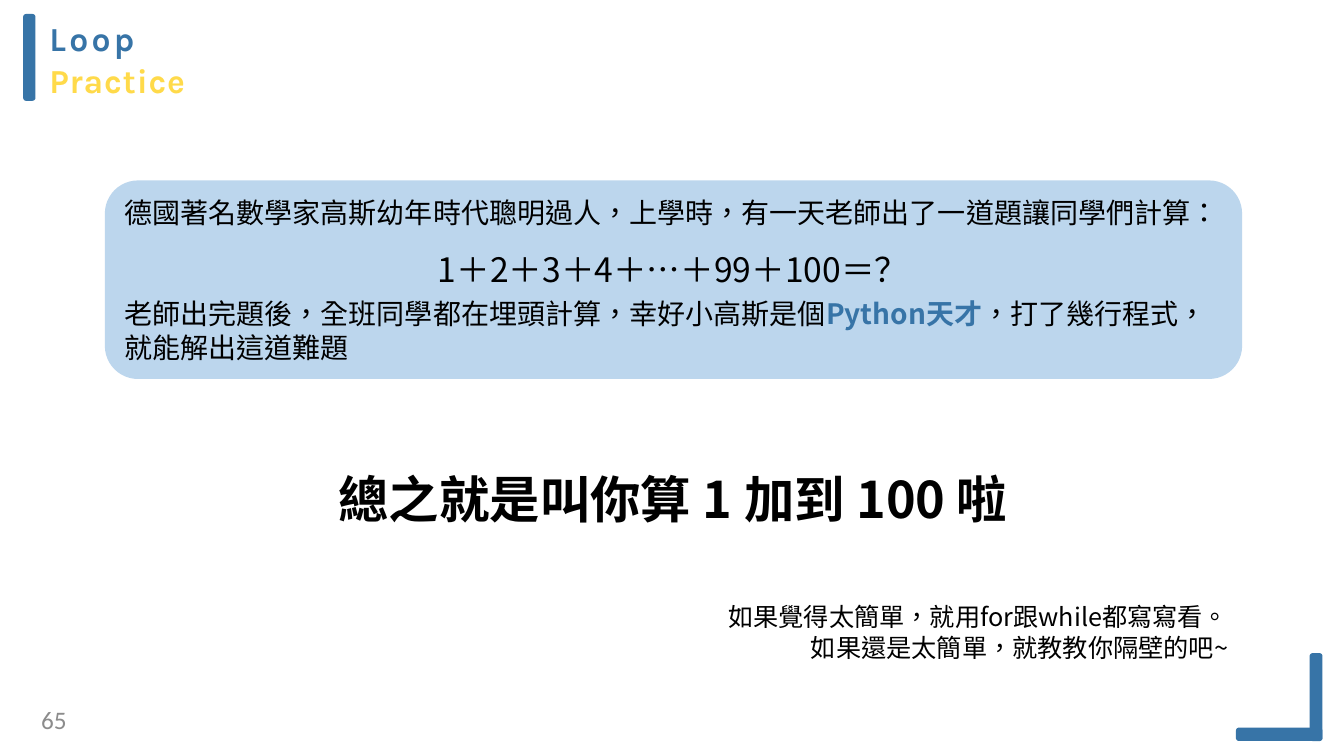
from pptx import Presentation
from pptx.dml.color import RGBColor
from pptx.enum.shapes import MSO_SHAPE
from pptx.enum.text import MSO_ANCHOR, PP_ALIGN
from pptx.oxml.ns import qn
from pptx.util import Inches, Pt

COLORS = {
    "blue": "3774A7",
    "yellow": "FFDA4A",
    "pale_blue": "BCD6ED",
    "gray": "8C8C8C",
    "black": "000000",
}
CJK_FONT = "Noto Sans CJK SC"

presentation = Presentation()
presentation.slide_width = Inches(13.33)
presentation.slide_height = Inches(7.5)
slide = presentation.slides.add_slide(presentation.slide_layouts[6])


def place(left, top, width, height):
    """Turn percentages of the slide into lengths."""
    across, down = presentation.slide_width / 100, presentation.slide_height / 100
    return [round(n) for n in (left * across, top * down, width * across, height * down)]


def write(frame, text, new_paragraph=False, size=20, color="black", bold=False,
          font=CJK_FONT, align=PP_ALIGN.LEFT, before=0, tracking=0):
    """Add a run to the last paragraph, or to a new one."""
    paragraph = frame.add_paragraph() if new_paragraph else frame.paragraphs[-1]
    paragraph.alignment = align
    if before:
        paragraph.space_before = Pt(before)
    run = paragraph.add_run()
    run.text = text
    run.font.size = Pt(size)
    run.font.bold = bold
    run.font.color.rgb = RGBColor.from_string(COLORS[color])
    run.font.name = font
    properties = run.font._element
    properties.set("lang", "zh-TW" if font == CJK_FONT else "en-US")
    if tracking:
        properties.set("spc", str(round(tracking * 100)))
    if font == CJK_FONT:
        east_asian = properties.makeelement(qn("a:ea"), {"typeface": font})
        properties.find(qn("a:latin")).addnext(east_asian)


# Title bar and corner bracket
bars = [(1.88, 2.13, 0.6, 10.93), (97.6, 86.67, 0.64, 11.07), (92.12, 96.53, 6.12, 1.2)]
for bar_place in bars:
    bar = slide.shapes.add_shape(MSO_SHAPE.ROUNDED_RECTANGLE, *place(*bar_place))
    bar.adjustments[0] = 0.1
    bar.shadow.inherit = False
    bar.fill.solid()
    bar.fill.fore_color.rgb = RGBColor.from_string(COLORS["blue"])
    bar.line.color.rgb = RGBColor.from_string(COLORS["blue"])
    bar.line.width = Pt(3)

# Story panel
panel = slide.shapes.add_shape(MSO_SHAPE.ROUNDED_RECTANGLE, *place(7.8, 23.87, 84.62, 26.27))
panel.shadow.inherit = False
panel.fill.solid()
panel.fill.fore_color.rgb = RGBColor.from_string(COLORS["pale_blue"])
panel.line.fill.background()
story = panel.text_frame
story.word_wrap = True
story.vertical_anchor = MSO_ANCHOR.MIDDLE
write(story, "德國著名數學家高斯幼年時代聰明過人，上學時，有一天老師出了一道題讓同學們計算：")
write(story, "老師出完題後，全班同學都在埋頭計算，幸好小高斯是個", new_paragraph=True, before=48)
write(story, "Python天才", color="blue", bold=True)
write(story, "，打了幾行程式，就能解出這道難題")

# Text boxes: place, insets in inches (side, top), paragraphs with their format
center, right = PP_ALIGN.CENTER, PP_ALIGN.RIGHT
heading = {"size": 24, "bold": True, "font": "Karla"}
remark = {"size": 18, "align": right}
text_boxes = [
    ((3.6, 2.13, 33.9, 11.2), (0.01, 0.02), [
        ("Loop", {**heading, "color": "blue", "tracking": 2.4}),
        ("Practice", {**heading, "color": "yellow", "tracking": 0.6, "before": 1})]),
    ((0.6, 93.2, 4.35, 4), (0, 0), [
        ("65", {"size": 18, "color": "gray", "font": "Calibri", "align": right})]),
    ((17.55, 61.33, 65.04, 9.47), (0.1, 0.05), [
        ("總之就是叫你算 1 加到 100 啦", {"size": 36, "bold": True, "align": center})]),
    ((25.66, 32.27, 48.84, 6.67), (0.1, 0.05), [
        ("1＋2＋3＋4＋…＋99＋100＝？", {"size": 24, "align": center})]),
    ((24, 78.93, 68.12, 9.47), (0.1, 0.05), [
        ("如果覺得太簡單，就用for跟while都寫寫看。", remark),
        ("如果還是太簡單，就教教你隔壁的吧~", remark)]),
]
for box_place, (side, top), paragraphs in text_boxes:
    frame = slide.shapes.add_textbox(*place(*box_place)).text_frame
    frame.word_wrap = True
    frame.margin_left = frame.margin_right = Inches(side)
    frame.margin_top = frame.margin_bottom = Inches(top)
    for index, (text, style) in enumerate(paragraphs):
        write(frame, text, new_paragraph=index > 0, **style)

presentation.save("out.pptx")
